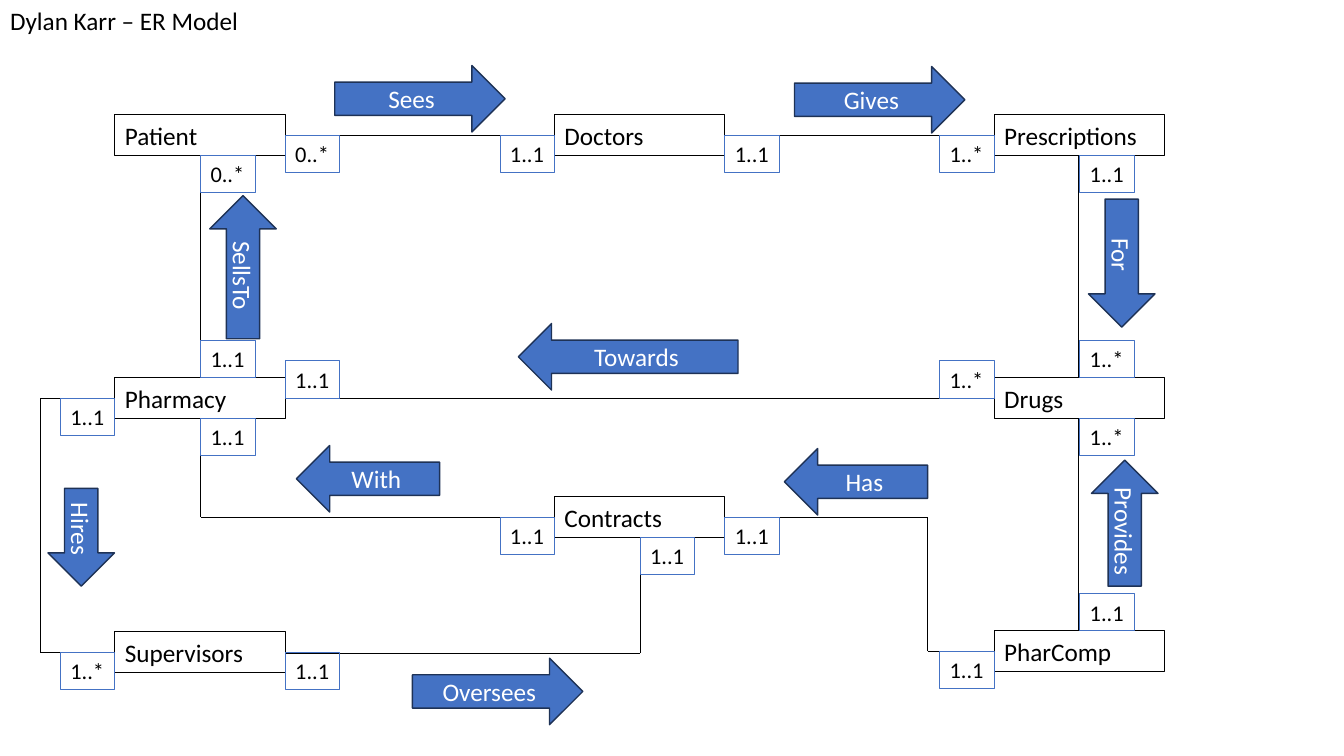
from itertools import pairwise

from lxml.etree import SubElement
from pptx import Presentation
from pptx.dml.color import RGBColor
from pptx.enum.shapes import MSO_CONNECTOR, MSO_SHAPE
from pptx.enum.text import MSO_ANCHOR, PP_ALIGN
from pptx.oxml.ns import qn
from pptx.util import Emu, Pt

BLACK = RGBColor(0x00, 0x00, 0x00)
WHITE = RGBColor(0xFF, 0xFF, 0xFF)
BLUE = RGBColor(0x44, 0x72, 0xC4)
NAVY = RGBColor(0x1E, 0x32, 0x56)
FONT = "Calibri"

EMU_PER_PX = 9144  # 100 px to the inch
ENTITY_W, ENTITY_H = 169, 40
COUNT_W, COUNT_H = 54, 37
ARROW_H = 66
LEFT, MIDDLE, RIGHT = 114, 550, 986

ENTITIES = {
    "Patient": (LEFT, 114),
    "Doctors": (MIDDLE, 114),
    "Prescriptions": (RIGHT, 114),
    "PharComp": (RIGHT, 626),
    "Drugs": (RIGHT, 375),
    "Pharmacy": (LEFT, 375),
    "Contracts": (MIDDLE, 493),
    "Supervisors": (LEFT, 627),
}

# Offset of a count from the corner of its entity
COUNT_OFFSETS = {
    "right": (ENTITY_W, ENTITY_H // 2),
    "left": (-COUNT_W, ENTITY_H // 2),
    "upper right": (ENTITY_W, ENTITY_H // 2 - COUNT_H),
    "upper left": (-COUNT_W, ENTITY_H // 2 - COUNT_H),
    "above": (85, -COUNT_H),
    "below": (85, ENTITY_H),
}

COUNTS = [
    ("Patient", "right", "0..*"),
    ("Patient", "below", "0..*"),
    ("Doctors", "left", "1..1"),
    ("Doctors", "right", "1..1"),
    ("Prescriptions", "left", "1..*"),
    ("Prescriptions", "below", "1..1"),
    ("Drugs", "above", "1..*"),
    ("Drugs", "upper left", "1..*"),
    ("Drugs", "below", "1..*"),
    ("Pharmacy", "above", "1..1"),
    ("Pharmacy", "upper right", "1..1"),
    ("Pharmacy", "left", "1..1"),
    ("Pharmacy", "below", "1..1"),
    ("Contracts", "left", "1..1"),
    ("Contracts", "right", "1..1"),
    ("Contracts", "below", "1..1"),
    ("Supervisors", "left", "1..*"),
    ("Supervisors", "right", "1..1"),
    ("PharComp", "left", "1..1"),
    ("PharComp", "above", "1..1"),
]

ROUTES = [
    [(283, 134), (550, 134)],
    [(719, 134), (986, 134)],
    [(1070, 154), (1070, 375)],
    [(1070, 415), (1070, 626)],
    [(986, 395), (283, 395)],
    [(283, 648), (635, 648), (635, 533)],
    [(114, 395), (40, 395), (40, 647), (114, 647)],
    [(199, 154), (199, 375)],
    [(199, 415), (199, 513), (550, 513)],
    [(719, 513), (920, 513), (920, 646), (986, 646)],
]

# Verb, left, top, length, direction, rotation
RELATIONS = [
    ("For", 1049, 228, 127, MSO_SHAPE.RIGHT_ARROW, 90),
    ("Gives", 788, 66, 169, MSO_SHAPE.RIGHT_ARROW, 0),
    ("Oversees", 409, 653, 169, MSO_SHAPE.RIGHT_ARROW, 0),
    ("Towards", 514, 321, 218, MSO_SHAPE.LEFT_ARROW, 0),
    ("With", 294, 442, 142, MSO_SHAPE.LEFT_ARROW, 0),
    ("Has", 778, 445, 142, MSO_SHAPE.LEFT_ARROW, 0),
    ("Provides", 1053, 486, 125, MSO_SHAPE.LEFT_ARROW, 90),
    ("SellsTo", 170, 232, 142, MSO_SHAPE.LEFT_ARROW, 90),
    ("Sees", 332, 65, 169, MSO_SHAPE.RIGHT_ARROW, 0),
    ("Hires", 32, 500, 97, MSO_SHAPE.RIGHT_ARROW, 90),
]


def px(length):
    return Emu(length * EMU_PER_PX)


def write(frame, text, size, color, align=PP_ALIGN.LEFT, anchor=MSO_ANCHOR.TOP):
    frame.vertical_anchor = anchor
    paragraph = frame.paragraphs[0]
    paragraph.alignment = align
    run = paragraph.add_run()
    run.text = text
    run.font.name = FONT
    run.font.size = Pt(size)
    run.font.color.rgb = color


def add_outlined(slide, preset, box, line_color, line_width):
    shape = slide.shapes.add_shape(preset, *map(px, box))
    shape.shadow.inherit = False
    shape.line.color.rgb = line_color
    shape.line.width = Pt(line_width)
    return shape


def add_title(slide, text):
    title = slide.shapes.title
    title.left, title.top, title.width, title.height = map(px, (0, 0, 367, 40))
    write(title.text_frame, text, 18, BLACK)
    title.text_frame.paragraphs[0].line_spacing = 1.0


def add_entity(slide, name, left, top):
    entity = add_outlined(slide, MSO_SHAPE.RECTANGLE,
                          (left, top, ENTITY_W, ENTITY_H), BLACK, 0.75)
    entity.fill.solid()
    entity.fill.fore_color.rgb = WHITE
    write(entity.text_frame, name, 18, BLACK)


def add_route(slide, points):
    """Join the points with straight segments."""
    for start, end in pairwise(points):
        segment = slide.shapes.add_connector(
            MSO_CONNECTOR.STRAIGHT, *map(px, start + end))
        segment.line.color.rgb = BLACK
        segment.line.width = Pt(0.5)
        SubElement(segment._element.spPr, qn("a:effectLst"))


def add_relation(slide, verb, left, top, length, direction, rotation):
    arrow = add_outlined(slide, direction, (left, top, length, ARROW_H), NAVY, 1)
    arrow.rotation = rotation
    arrow.fill.solid()
    arrow.fill.fore_color.rgb = BLUE
    write(arrow.text_frame, verb, 18, WHITE, PP_ALIGN.CENTER, MSO_ANCHOR.MIDDLE)


def add_count(slide, entity, side, count):
    """Place a multiplicity box against one side of an entity."""
    left, top = ENTITIES[entity]
    dx, dy = COUNT_OFFSETS[side]
    box = add_outlined(slide, MSO_SHAPE.RECTANGLE,
                       (left + dx, top + dy, COUNT_W, COUNT_H), BLUE, 0.75)
    box.fill.background()
    box.text_frame.word_wrap = False
    write(box.text_frame, count, 16, BLACK)


def main():
    presentation = Presentation()
    presentation.slide_width = px(1333)
    presentation.slide_height = px(750)
    slide = presentation.slides.add_slide(presentation.slide_layouts[5])

    add_title(slide, "Dylan Karr – ER Model")
    for name, corner in ENTITIES.items():
        add_entity(slide, name, *corner)
    for route in ROUTES:
        add_route(slide, route)
    for relation in RELATIONS:
        add_relation(slide, *relation)
    for count in COUNTS:
        add_count(slide, *count)

    presentation.save("out.pptx")


if __name__ == "__main__":
    main()
